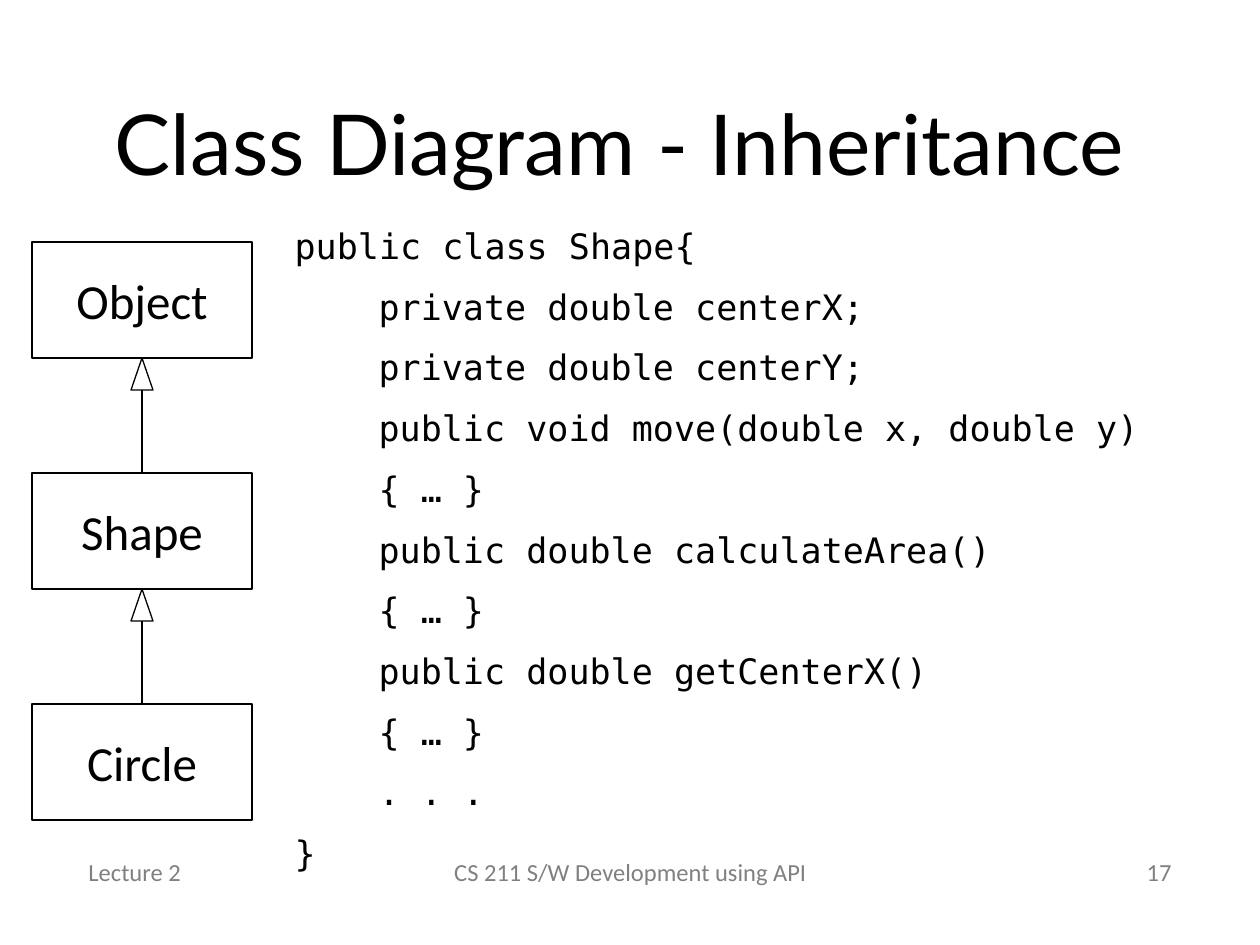
from dataclasses import dataclass

import lxml.etree
import pptx
import pptx.dml.color
import pptx.enum.shapes
import pptx.enum.text
import pptx.oxml.ns
import pptx.util

PX = 914400 / 126
BLACK = "000000"
GRAY = "808080"
LEFT = pptx.enum.text.PP_ALIGN.LEFT
CENTER = pptx.enum.text.PP_ALIGN.CENTER
RIGHT = pptx.enum.text.PP_ALIGN.RIGHT
MIDDLE = pptx.enum.text.MSO_ANCHOR.MIDDLE
BOTTOM = pptx.enum.text.MSO_ANCHOR.BOTTOM

CLASS_LEFT, CLASS_TOP, CLASS_WIDTH, CLASS_HEIGHT = 32, 242, 220, 116
CLASS_PITCH = 231
HEAD_WIDTH, HEAD_HEIGHT = 22, 32
CODE_INDENT = 84


@dataclass
class FooterPart:
    text: str
    left: int
    width: int
    align: pptx.enum.text.PP_ALIGN


@dataclass
class CodeLine:
    text: str
    level: int = 1


FOOTER = [
    FooterPart("Lecture 2", 76, 294, LEFT),
    FooterPart("CS 211 S/W Development using API", 431, 399, CENTER),
    FooterPart("17", 890, 294, RIGHT),
]
CODE = [
    CodeLine("public class Shape{", 0),
    CodeLine("private double centerX;"),
    CodeLine("private double centerY;"),
    CodeLine("public void move(double x, double y)"),
    CodeLine("{ … }"),
    CodeLine("public double calculateArea()"),
    CodeLine("{ … }"),
    CodeLine("public double getCenterX()"),
    CodeLine("{ … }"),
    CodeLine(". . ."),
    CodeLine("}", 0),
]
CLASSES = ["Object", "Shape", "Circle"]


def emu(px: int) -> int:
    return round(px * PX)


def color(value: str) -> pptx.dml.color.RGBColor:
    return pptx.dml.color.RGBColor.from_string(value)


def place(shape, left: int, top: int, width: int, height: int) -> None:
    shape.left, shape.top = emu(left), emu(top)
    shape.width, shape.height = emu(width), emu(height)


def set_frame(frame, anchor, wrap: bool = True) -> None:
    frame.word_wrap = wrap
    frame.auto_size = pptx.enum.text.MSO_AUTO_SIZE.NONE
    frame.vertical_anchor = anchor


def style(paragraph, font: str, size: int, value: str, align) -> None:
    paragraph.alignment = align
    paragraph.font.name = font
    paragraph.font.size = pptx.util.Pt(size)
    paragraph.font.color.rgb = color(value)


def outline(shape) -> None:
    shape.line.color.rgb = color(BLACK)
    shape.line.width = pptx.util.Pt(0.75)


def add_outlined(slide, preset, left: int, top: int, width: int, height: int):
    shape = slide.shapes.add_shape(preset, emu(left), emu(top), emu(width), emu(height))
    shape.shadow.inherit = False
    shape.fill.background()
    outline(shape)
    return shape


def add_class(slide, name: str, top: int):
    box = add_outlined(slide, pptx.enum.shapes.MSO_SHAPE.RECTANGLE,
                       CLASS_LEFT, top, CLASS_WIDTH, CLASS_HEIGHT)
    set_frame(box.text_frame, MIDDLE, wrap=False)
    box.text_frame.text = name
    style(box.text_frame.paragraphs[0], "Calibri", 28, BLACK, CENTER)
    return box


def add_inheritance(slide, subclass, parent_bottom: int) -> None:
    middle = CLASS_LEFT + CLASS_WIDTH // 2
    add_outlined(slide, pptx.enum.shapes.MSO_SHAPE.ISOSCELES_TRIANGLE,
                 middle - HEAD_WIDTH // 2, parent_bottom, HEAD_WIDTH, HEAD_HEIGHT)
    stem = slide.shapes.add_connector(
        pptx.enum.shapes.MSO_CONNECTOR.STRAIGHT, emu(middle), subclass.top,
        emu(middle), emu(parent_bottom + HEAD_HEIGHT))
    stem.begin_connect(subclass, 0)
    outline(stem)
    lxml.etree.SubElement(stem._element.spPr, pptx.oxml.ns.qn("a:effectLst"))


def add_title(slide) -> None:
    title = slide.shapes.title
    place(title, 76, 60, 1108, 164)
    set_frame(title.text_frame, MIDDLE)
    title.text_frame.text = "Class Diagram - Inheritance "
    style(title.text_frame.paragraphs[0], "Lato", 48, BLACK, CENTER)


def add_code(slide) -> None:
    code = slide.placeholders[1]
    place(code, 282, 188, 942, 692)
    set_frame(code.text_frame, BOTTOM)
    code.text_frame.text = "\n".join(line.text for line in CODE)
    for paragraph, line in zip(code.text_frame.paragraphs, CODE):
        style(paragraph, "DejaVu Sans Mono", 20, BLACK, LEFT)
        paragraph.space_before = pptx.util.Pt(10.7)
        properties = paragraph._p.get_or_add_pPr()
        properties.set("marL", str(emu(line.level * CODE_INDENT)))
        properties.set("indent", "0")
        lxml.etree.SubElement(properties, pptx.oxml.ns.qn("a:buNone"))
        properties.append(properties.find(pptx.oxml.ns.qn("a:defRPr")))


def add_footer(slide, part: FooterPart) -> None:
    footer = slide.shapes.add_textbox(emu(part.left), emu(847), emu(part.width), emu(50))
    set_frame(footer.text_frame, MIDDLE)
    footer.text_frame.text = part.text
    style(footer.text_frame.paragraphs[0], "Calibri", 14, GRAY, part.align)


def main() -> None:
    deck = pptx.Presentation()
    deck.slide_width, deck.slide_height = emu(1260), emu(945)
    slide = deck.slides.add_slide(deck.slide_layouts[1])
    add_title(slide)
    for part in FOOTER:
        add_footer(slide, part)
    add_code(slide)
    for index, name in enumerate(CLASSES):
        top = CLASS_TOP + index * CLASS_PITCH
        box = add_class(slide, name, top)
        if index:
            add_inheritance(slide, box, top - CLASS_PITCH + CLASS_HEIGHT)
    deck.save("out.pptx")


if __name__ == "__main__":
    main()
